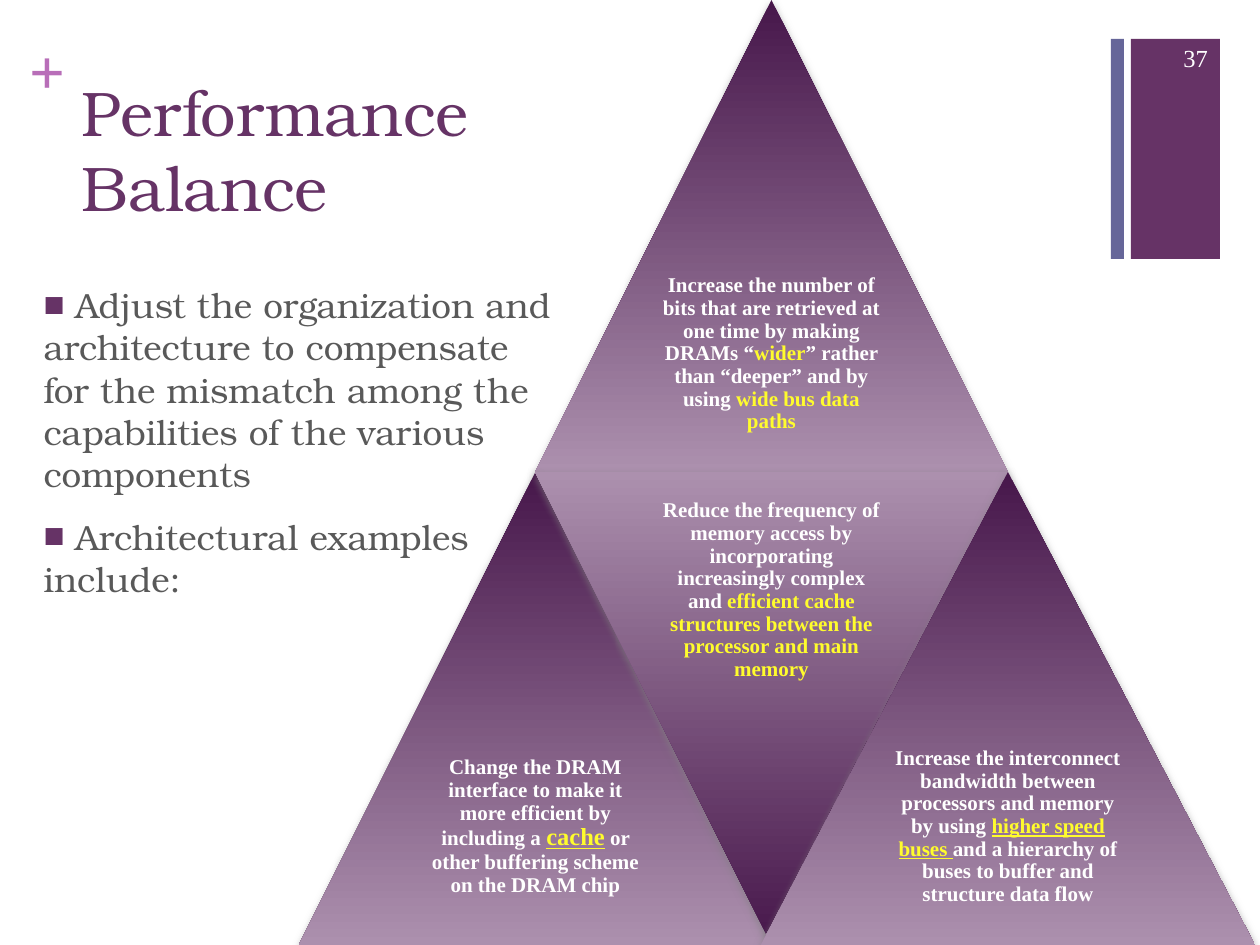
from lxml.etree import SubElement
from pptx import Presentation
from pptx.dml.color import RGBColor
from pptx.enum.shapes import MSO_SHAPE
from pptx.enum.text import MSO_ANCHOR, PP_ALIGN
from pptx.oxml.ns import qn
from pptx.util import Emu, Pt

EMU_PER_INCH = 914400
PX_PER_INCH = 126

PURPLE = RGBColor(0x66, 0x33, 0x66)
ORCHID = RGBColor(0xB8, 0x6E, 0xB8)
SLATE = RGBColor(0x66, 0x66, 0x99)
DARK_PLUM = RGBColor(0x47, 0x17, 0x4B)
PALE_PLUM = RGBColor(0xAC, 0x90, 0xAE)
GRAY = RGBColor(0x59, 0x59, 0x59)
SHADOW = RGBColor(0x80, 0x80, 0x80)
WHITE = RGBColor(0xFF, 0xFF, 0xFF)
YELLOW = RGBColor(0xFF, 0xFC, 0x2D)

SERIF = "Times New Roman"
BOOK = "TeX Gyre Bonum"

BULLETS = [
    ["Adjust the organization and", "architecture to compensate",
     "for the mismatch among the", "capabilities of the various", "components"],
    ["Architectural examples", "include:"],
]

# Left, top, width, height, pointing down, then the spans of text
TRIANGLES = [
    (535, 0, 473, 472, False, [
        ("Increase the number of bits that are retrieved at one time by making DRAMs “", {}),
        ("wider", {"color": YELLOW}),
        ("” rather than “deeper” and by using ", {}),
        ("wide bus data paths", {"color": YELLOW})]),
    (299, 472, 473, 473, False, [
        ("Change the DRAM interface to make it more efficient by including a ", {}),
        ("cache", {"color": YELLOW, "size": 14, "underline": True}),
        (" or other buffering scheme on the DRAM chip", {})]),
    (535, 472, 473, 473, True, [
        ("Reduce the frequency of memory access by incorporating "
         "increasingly complex and ", {}),
        ("efficient cache structures between the processor and main memory",
         {"color": YELLOW})]),
    (761, 472, 494, 473, False, [
        ("Increase the interconnect bandwidth between processors and memory by using ", {}),
        ("higher speed buses ", {"color": YELLOW, "underline": True}),
        ("and a hierarchy of buses to buffer and structure data flow", {})]),
]


def px(length):
    return Emu(round(length * EMU_PER_INCH / PX_PER_INCH))


def add_span(para, text, font=SERIF, size=12, color=WHITE, bold=False, underline=False):
    span = para.add_run()
    span.text = text
    span.font.name = font
    span.font.size = Pt(size)
    span.font.color.rgb = color
    span.font.bold = bold
    span.font.underline = underline


class SlideBuilder:
    def __init__(self, slide):
        self.slide = slide

    def shape(self, kind, left, top, width, height):
        shape = self.slide.shapes.add_shape(kind, px(left), px(top), px(width), px(height))
        shape.shadow.inherit = False
        shape.line.fill.background()
        return shape

    def bar(self, left, top, width, height, color):
        bar = self.shape(MSO_SHAPE.RECTANGLE, left, top, width, height)
        bar.fill.solid()
        bar.fill.fore_color.rgb = color

    def text_frame(self, left, top, width, height, side=13, edge=6, anchor=MSO_ANCHOR.TOP):
        box = self.slide.shapes.add_textbox(px(left), px(top), px(width), px(height))
        frame = box.text_frame
        frame.word_wrap = True
        frame.vertical_anchor = anchor
        frame.margin_left = frame.margin_right = px(side)
        frame.margin_top = frame.margin_bottom = px(edge)
        return frame

    def label(self, lines, *place, align=PP_ALIGN.LEFT, side=13, edge=6,
              anchor=MSO_ANCHOR.TOP, **style):
        para = self.text_frame(*place, side, edge, anchor).paragraphs[0]
        para.alignment = align
        for index, line in enumerate(lines):
            if index:
                para.add_line_break()
            add_span(para, line, **style)

    def triangle(self, left, top, width, height, down, spans):
        """Draw a shaded triangle with its text in the wide half."""
        triangle = self.shape(MSO_SHAPE.ISOSCELES_TRIANGLE, left, top, width, height)
        triangle.rotation = 180 if down else 0
        triangle.fill.gradient()
        triangle.fill.gradient_angle = 270
        for stop, color in zip(triangle.fill.gradient_stops, (DARK_PLUM, PALE_PLUM)):
            stop.color.rgb = color
        effects = triangle._element.spPr.find(qn("a:effectLst"))
        shadow = SubElement(effects, qn("a:outerShdw"), blurRad=str(Pt(5)),
                            dist=str(Pt(2)), dir="5400000", rotWithShape="0")
        tone = SubElement(shadow, qn("a:srgbClr"), val=str(SHADOW))
        SubElement(tone, qn("a:alpha"), val="75000")

        text_top = top if down else top + height / 2
        frame = self.text_frame(left + width / 4, text_top, width / 2, height / 2,
                                side=6, anchor=MSO_ANCHOR.MIDDLE)
        para = frame.paragraphs[0]
        para.alignment = PP_ALIGN.CENTER
        para.line_spacing = 0.9
        for text, style in spans:
            add_span(para, text, bold=True, **style)

    def bullets(self, items, *place):
        """Mark the first line of each item; all lines share one left edge."""
        frame = self.text_frame(*place)
        para = frame.paragraphs[0]
        for item_index, lines in enumerate(items):
            for line_index, line in enumerate(lines):
                if item_index or line_index:
                    para = frame.add_paragraph()
                properties = para._p.get_or_add_pPr()
                properties.set("marL", str(px(63)))
                properties.set("indent", str(-px(31.5)))
                if line_index == 0:
                    tint = SubElement(properties, qn("a:buClr"))
                    SubElement(tint, qn("a:srgbClr"), val=str(PURPLE))
                    SubElement(properties, qn("a:buFont"), typeface=SERIF)
                    SubElement(properties, qn("a:buChar"), char="■")
                    if item_index:
                        para.space_before = Pt(12)
                else:
                    SubElement(properties, qn("a:buNone"))
                add_span(para, line, font=BOOK, size=20, color=GRAY)


def main():
    deck = Presentation()
    deck.slide_width, deck.slide_height = px(1260), px(945)
    page = SlideBuilder(deck.slides.add_slide(deck.slide_layouts[6]))

    page.bar(1131, 39, 89, 220, PURPLE)
    page.label(["+"], 30, 32, 37, 77, side=0, edge=0, size=36, color=ORCHID, bold=True)
    page.bar(1111, 39, 13, 220, SLATE)
    page.label(["Performance ", "Balance"], 69, 67, 655, 185,
               font=BOOK, size=36, color=PURPLE)
    for triangle in TRIANGLES:
        page.triangle(*triangle)
    page.bullets(BULLETS, -1, 278, 609, 379)
    page.label(["37"], 1144, 33, 77, 50, align=PP_ALIGN.RIGHT,
               anchor=MSO_ANCHOR.MIDDLE, size=14)

    deck.save("out.pptx")


if __name__ == "__main__":
    main()
